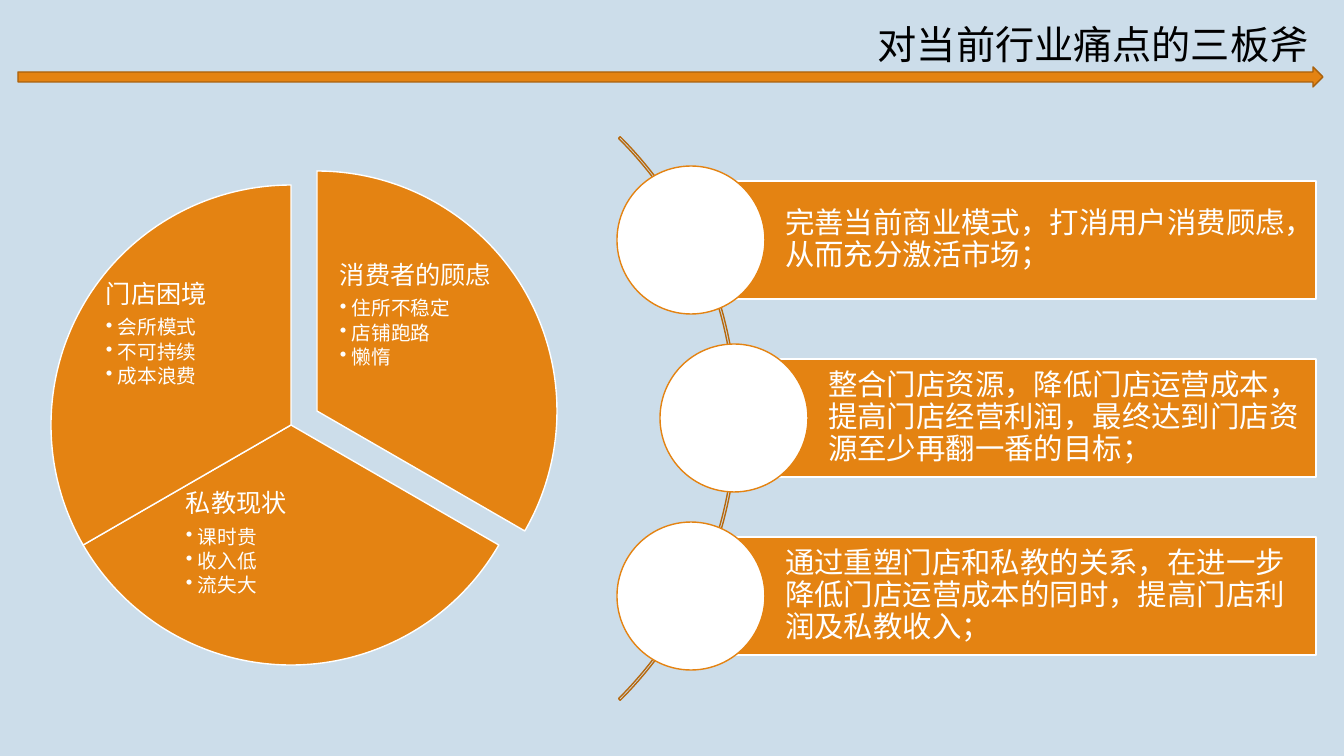
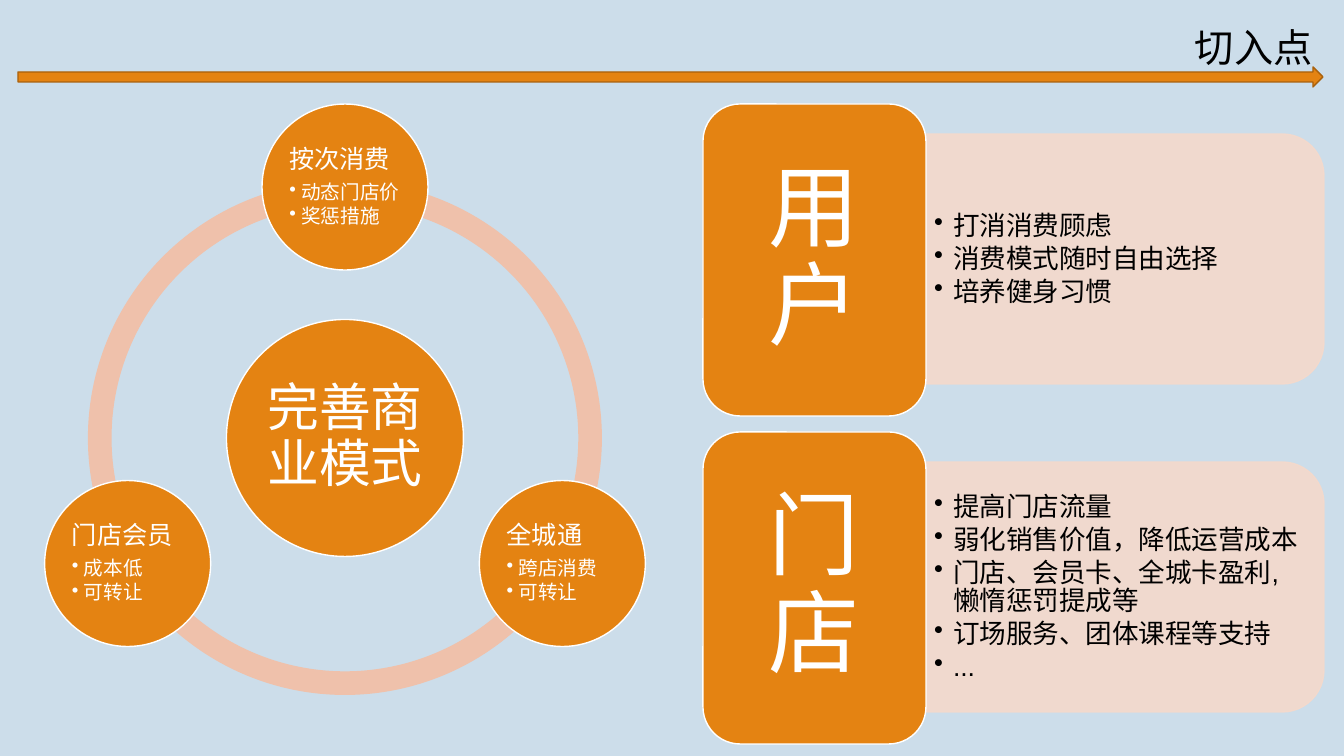
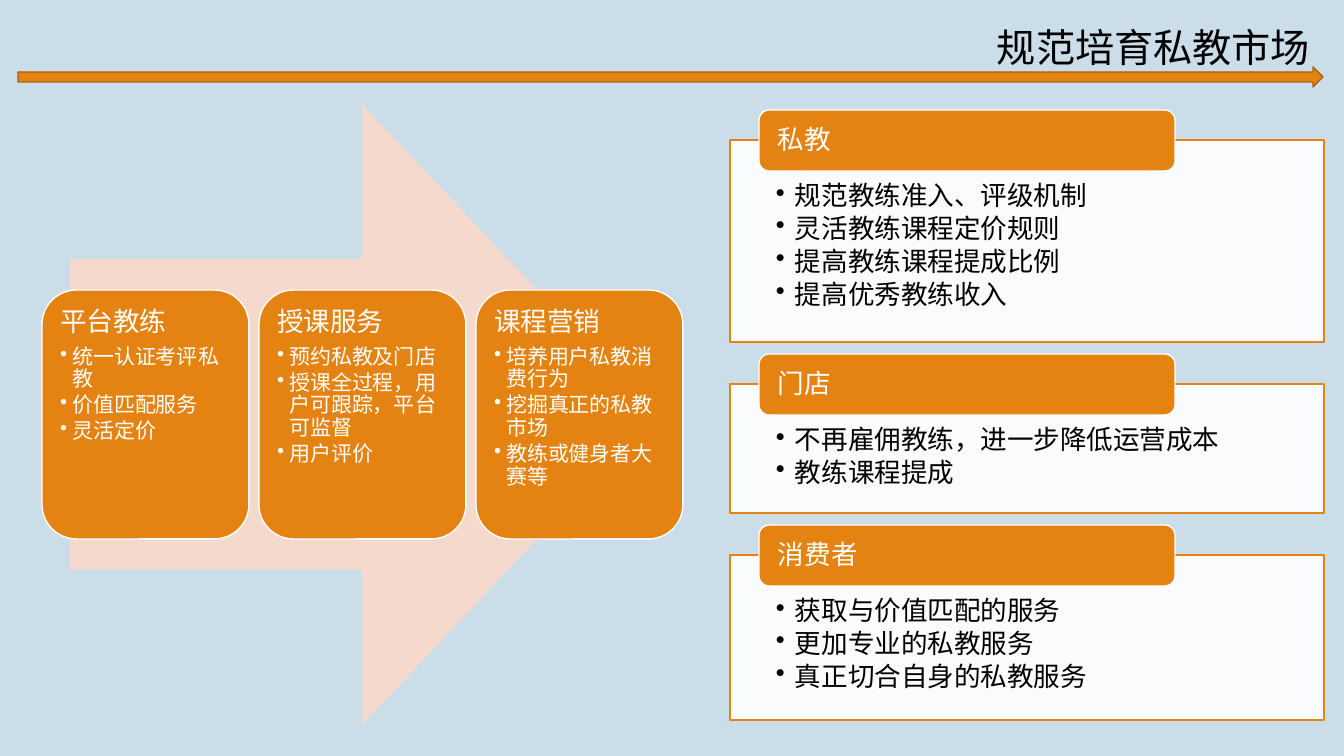
import math
from lxml import etree
from pptx import Presentation
from pptx.dml.color import RGBColor
from pptx.enum import shapes, text
from pptx.oxml.ns import qn
from pptx.util import Emu, Pt

ORANGE, RUST, BROWN, WHITE, BLACK = "E48312", "A9610D", "B7690E", "FFFFFF", "000000"
SKY, PEACH, BLUSH = "CCDDEA", "EFC1AB", "F5D9CC"
KIND, ANCHOR, ALIGN = shapes.MSO_SHAPE, text.MSO_ANCHOR, text.PP_ALIGN
SCALE = 914400 / 100.8

PAINS = [
    ((77, 171), (162, 18), (337, 260, 162, 160),
     "消费者的顾虑", ["住所不稳定", "店铺跑路", "懒惰"]),
    ((51, 185), (18, 90), (183, 488, 217, 148),
     "私教现状", ["课时贵", "收入低", "流失大"]),
    ((51, 185), (90, 162), (103, 279, 162, 160),
     "门店困境", ["会所模式", "不可持续", "成本浪费"]),
]
MOVES = [
    (691, "完善当前商业模式，打消用户消费顾虑，从而充分激活市场；"),
    (734, "整合门店资源，降低门店运营成本，提高门店经营利润，最终达到门店资源至少再翻一番的目标；"),
    (691, "通过重塑门店和私教的关系，在进一步降低门店运营成本的同时，提高门店利润及私教收入；"),
]
MODES = [
    ("按次消费", ["动态门店价", "奖惩措施"]),
    ("全城通", ["跨店消费", "可转让"]),
    ("门店会员", ["成本低", "可转让"]),
]
GAINS = [
    ("用户", ["打消消费顾虑", "消费模式随时自由选择", "培养健身习惯"]),
    ("门店", ["提高门店流量", "弱化销售价值，降低运营成本",
            "门店、会员卡、全城卡盈利,懒惰惩罚提成等", "订场服务、团体课程等支持", "..."]),
]
STEPS = [
    ("平台教练", ["统一认证考评私教", "价值匹配服务", "灵活定价"]),
    ("授课服务", ["预约私教及门店", "授课全过程，用户可跟踪，平台可监督", "用户评价"]),
    ("课程营销", ["培养用户私教消费行为", "挖掘真正的私教市场", "教练或健身者大赛等"]),
]
RULES = [
    ("私教", ["规范教练准入、评级机制", "灵活教练课程定价规则", "提高教练课程提成比例", "提高优秀教练收入"]),
    ("门店", ["不再雇佣教练，进一步降低运营成本", "教练课程提成"]),
    ("消费者", ["获取与价值匹配的服务", "更加专业的私教服务", "真正切合自身的私教服务"]),
]


def px(n):
    return Emu(round(n * SCALE))


def rgb(code):
    return RGBColor.from_string(code)


def paint(fill, color, alpha=100):
    if color is None:
        fill.background()
        return
    fill.solid()
    fill.fore_color.rgb = rgb(color)
    if alpha < 100:
        tint = fill._xPr.find(qn("a:solidFill"))[0]
        etree.SubElement(tint, qn("a:alpha"), val=str(alpha * 1000))


def draw(page, kind, box, fill=ORANGE, line=WHITE, adj=(), alpha=100, fade=100):
    item = page.shapes.add_shape(kind, *map(px, box))
    item.shadow.inherit = False
    paint(item.fill, fill, alpha)
    paint(item.line.fill, line, fade)
    if line:
        item.line.width = Pt(1)
    for i, val in enumerate(adj):
        item.adjustments[i] = val
    return item


def label(page, box):
    return page.shapes.add_textbox(*map(px, box))


def write(item, head=None, points=(), size=18, small=14, color=WHITE, pad=(3,) * 4,
          anchor=ANCHOR.MIDDLE, align=ALIGN.LEFT, hang=12):
    frame = item.text_frame
    left, top, right, low = map(px, pad)
    looks = dict(word_wrap=True, vertical_anchor=anchor, margin_left=left,
                 margin_top=top, margin_right=right, margin_bottom=low)
    for key, val in looks.items():
        setattr(frame, key, val)
    lines = ([(head, size, False)] if head else []) + [(p, small, True) for p in points]
    for i, (words, pts, dot) in enumerate(lines):
        para = frame.add_paragraph() if i else frame.paragraphs[0]
        para.alignment, para.line_spacing = align, 0.9
        run = para.add_run()
        run.text = words
        for key, val in dict(name="Arial", size=Pt(pts)).items():
            setattr(run.font, key, val)
        run.font.color.rgb = rgb(color)
        props = para._p.get_or_add_pPr()
        after = etree.SubElement(props, qn("a:spcAft"))
        etree.SubElement(after, qn("a:spcPct"), val="15000" if dot else "35000")
        if dot:
            para.level = 1
            props.set("marL", str(px(hang)))
            props.set("indent", str(-px(hang)))
            etree.SubElement(props, qn("a:buChar"), char="•")


def start(title, top):
    page = deck.slides.add_slide(deck.slide_layouts[6])
    draw(page, KIND.RIGHT_ARROW, (18, 67, 1305, 20), line=RUST)
    wide = round(39.6 * len(title)) + 20
    frame = label(page, (1324 - wide, top, wide, 57)).text_frame
    frame.word_wrap = False
    frame.auto_size = text.MSO_AUTO_SIZE.SHAPE_TO_FIT_TEXT
    run = frame.paragraphs[0].add_run()
    run.text = title
    run.font.name, run.font.size = "Arial", Pt(28)
    run.font.color.rgb = rgb(BLACK)
    return page


def pains():
    page = start("对当前行业痛点的三板斧", 15)
    for spot, turn, box, head, points in PAINS:
        draw(page, KIND.PIE, (*spot, 480, 480), adj=turn)
        write(label(page, box), head, points, anchor=ANCHOR.TOP)
    draw(page, KIND.BLOCK_ARC, (-60, 20, 797, 797), None, BROWN, (189, 27, 0.003))
    for i, (x, words) in enumerate(MOVES):
        y = 181 + 178 * i
        bar = draw(page, KIND.RECTANGLE, (x, y, 1316 - x, 118))
        write(bar, words, size=21, pad=(94, 6, 6, 6))
        draw(page, KIND.OVAL, (x - 74, y - 15, 148, 148), WHITE, ORANGE)


def entry():
    page = start("切入点", 18)
    midx, midy, orbit = 345, 438, 251

    def disc(x, y, size):
        return x - size / 2, y - size / 2, size, size

    for turn in ((90, 162), (18, 90), (162, 18)):
        draw(page, KIND.BLOCK_ARC, disc(midx, midy, 514), PEACH, None, (*turn, 0.046))
    core = draw(page, KIND.OVAL, disc(midx, midy, 237))
    write(core, "完善商业模式", size=37, pad=(5,) * 4, align=ALIGN.CENTER)
    for i, (head, points) in enumerate(MODES):
        turn = math.radians(120 * i - 90)
        x, y = midx + orbit * math.cos(turn), midy + orbit * math.sin(turn)
        write(draw(page, KIND.OVAL, disc(x, y, 166)), head, points)
    for i, (head, points) in enumerate(GAINS):
        y = 328 * i
        panel = draw(page, KIND.ROUND_2_SAME_RECTANGLE, (1000, y + 60, 250, 398),
                     BLUSH, BLUSH, alpha=90, fade=90)
        panel.rotation = 90
        write(label(page, (926, y + 147, 385, 226)), points=points, small=19,
              color=BLACK, pad=(8, 4, 8, 4), hang=19)
        card = draw(page, KIND.ROUNDED_RECTANGLE, (703, y + 104, 223, 312))
        write(card, head, size=65, pad=(27, 14, 27, 14), align=ALIGN.CENTER)


def market():
    page = start("规范培育私教市场", 18)
    y = 140
    for head, points in RULES:
        tall = round(56 + 36.4 * len(points))
        panel = draw(page, KIND.RECTANGLE, (730, y, 594, tall), WHITE, ORANGE, alpha=90)
        write(panel, points=points, small=19, color=BLACK, pad=(46, 43, 46, 15),
              anchor=ANCHOR.TOP, hang=19)
        tab = draw(page, KIND.ROUNDED_RECTANGLE, (759, y - 30, 416, 61))
        write(tab, head, size=19, pad=(16, 0, 16, 0))
        y += tall + 42
    draw(page, KIND.RIGHT_ARROW, (70, 104, 584, 621), BLUSH, None)
    for i, (head, points) in enumerate(STEPS):
        card = draw(page, KIND.ROUNDED_RECTANGLE, (42 + 217 * i, 290, 207, 249))
        write(card, head, points, 19, 15, pad=(8,) * 4, anchor=ANCHOR.TOP)


deck = Presentation()
deck.slide_width, deck.slide_height = px(1344), px(756)
paint(deck.slide_master.background.fill, SKY)
for build in (pains, entry, market):
    build()
deck.save("out.pptx")
